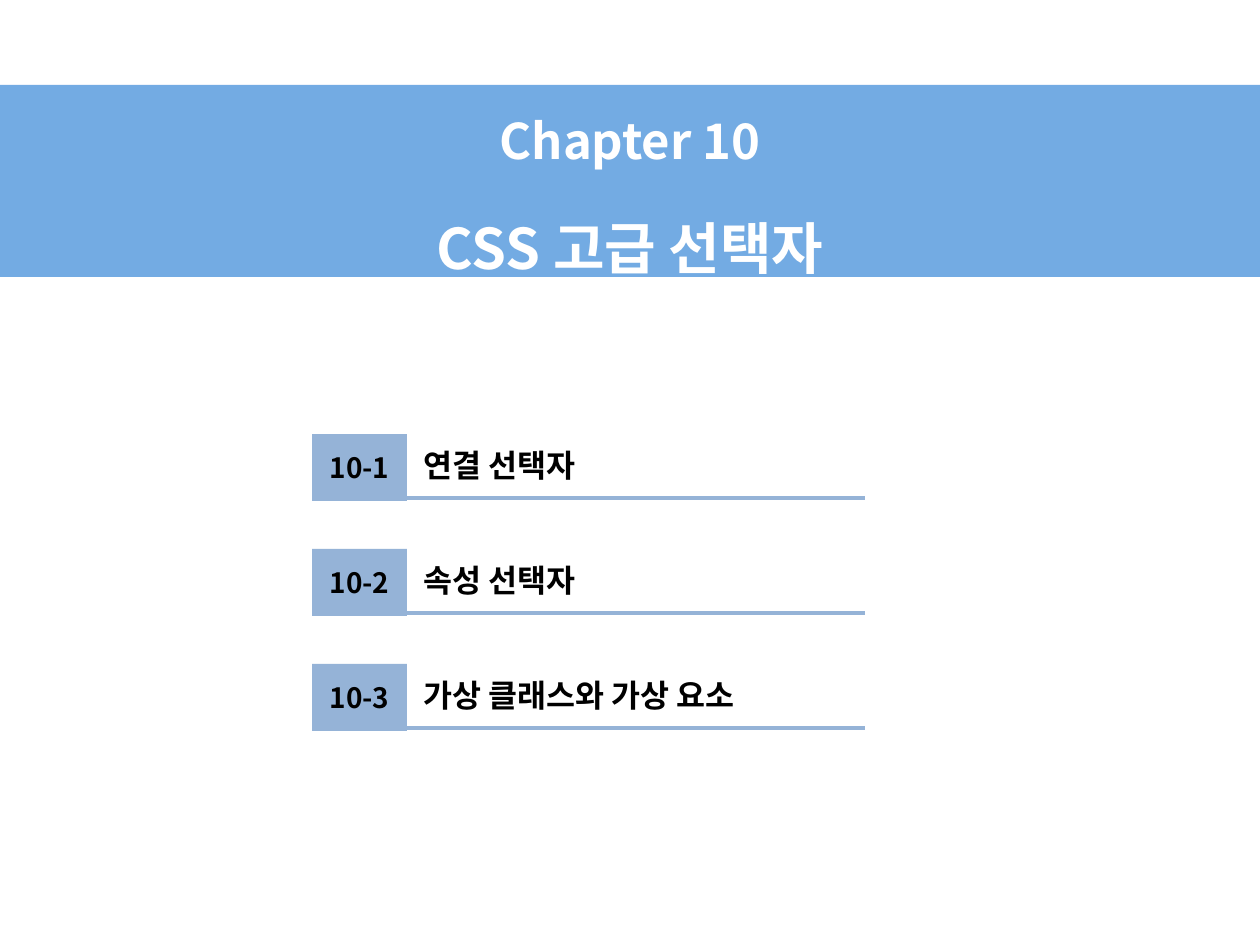
from lxml import etree
from pptx import Presentation
from pptx.dml.color import RGBColor
from pptx.enum.shapes import MSO_CONNECTOR, MSO_SHAPE
from pptx.enum.text import MSO_ANCHOR, MSO_AUTO_SIZE, PP_ALIGN
from pptx.oxml.ns import qn
from pptx.util import Emu, Pt

RECTANGLE, STRAIGHT = MSO_SHAPE.RECTANGLE, MSO_CONNECTOR.STRAIGHT
MIDDLE, CENTER, LEFT = MSO_ANCHOR.MIDDLE, PP_ALIGN.CENTER, PP_ALIGN.LEFT
NO_AUTOFIT = MSO_AUTO_SIZE.NONE

# Content
HEADING = [("Chapter 10", 28), ("CSS 고급 선택자", 32)]
SECTIONS = [
    ("10-1", "연결 선택자"),
    ("10-2", "속성 선택자"),
    ("10-3", "가상 클래스와 가상 요소"),
]

# Style and layout, in px
FONT = "Noto Sans CJK KR"
BAND, ACCENT, WHITE, BLACK = "0066CC", "95B3D7", "FFFFFF", "000000"
BAND_OPACITY = 55
SLIDE_W, SLIDE_H = 1260, 945
FIRST_ROW, ROW_PITCH = 434, 115
BADGE_X, BADGE_W, BADGE_H = 312, 95, 67
TOPIC_X, TOPIC_W, TOPIC_H, TOPIC_DROP = 411, 548, 50, 6
RULE_END, RULE_DROP = 865, 64


def px(*lengths):
    return [Emu(round(length * 914400 / 126)) for length in lengths]


def color(hex_code):
    return RGBColor.from_string(hex_code)


def style(paragraph, size, hex_code, align):
    paragraph.alignment = align
    for run in paragraph.runs:
        font = run.font
        font.name, font.size, font.bold = FONT, Pt(size), True
        font.color.rgb = color(hex_code)
        east_asian = etree.SubElement(font._element, qn("a:ea"))
        east_asian.set("typeface", FONT)


prs = Presentation()
prs.slide_width, prs.slide_height = px(SLIDE_W, SLIDE_H)
slide = prs.slides.add_slide(prs.slide_layouts[5])

# Numbered sections, each with a badge, a topic and a rule
for row, (number, topic) in enumerate(SECTIONS):
    top = FIRST_ROW + row * ROW_PITCH
    section = slide.shapes.add_group_shape().shapes

    badge = section.add_shape(RECTANGLE, *px(BADGE_X, top, BADGE_W, BADGE_H))
    badge.shadow.inherit = False
    badge.fill.solid()
    badge.fill.fore_color.rgb = color(ACCENT)
    badge.line.fill.background()
    badge.text_frame.text = number
    badge.text_frame.vertical_anchor = MIDDLE
    style(badge.text_frame.paragraphs[0], 16, BLACK, CENTER)

    label = section.add_textbox(*px(TOPIC_X, top + TOPIC_DROP, TOPIC_W, TOPIC_H))
    label.text_frame.word_wrap = True
    label.text_frame.text = topic
    style(label.text_frame.paragraphs[0], 18, BLACK, LEFT)

    rule_y = top + RULE_DROP
    rule = section.add_connector(
        STRAIGHT, *px(BADGE_X + BADGE_W, rule_y, RULE_END, rule_y))
    rule.line.color.rgb = color(ACCENT)
    rule.line.width = Pt(2.25)
    etree.SubElement(rule._element.spPr, qn("a:effectLst"))

# Title band across the slide
title = slide.shapes.title
title.left, title.top, title.width, title.height = px(0, 85, SLIDE_W, 192)
title.fill.solid()
title.fill.fore_color.rgb = color(BAND)
band_color = title._element.spPr.find(".//" + qn("a:srgbClr"))
etree.SubElement(band_color, qn("a:alpha")).set("val", str(BAND_OPACITY * 1000))
heading = title.text_frame
heading.text = "\n".join(line for line, _ in HEADING)
heading.auto_size = NO_AUTOFIT
heading.vertical_anchor = MIDDLE
for paragraph, (_, size) in zip(heading.paragraphs, HEADING):
    paragraph.line_spacing = 1.5
    style(paragraph, size, WHITE, CENTER)
heading.paragraphs[1].space_before = Pt(6)

prs.save("out.pptx")
